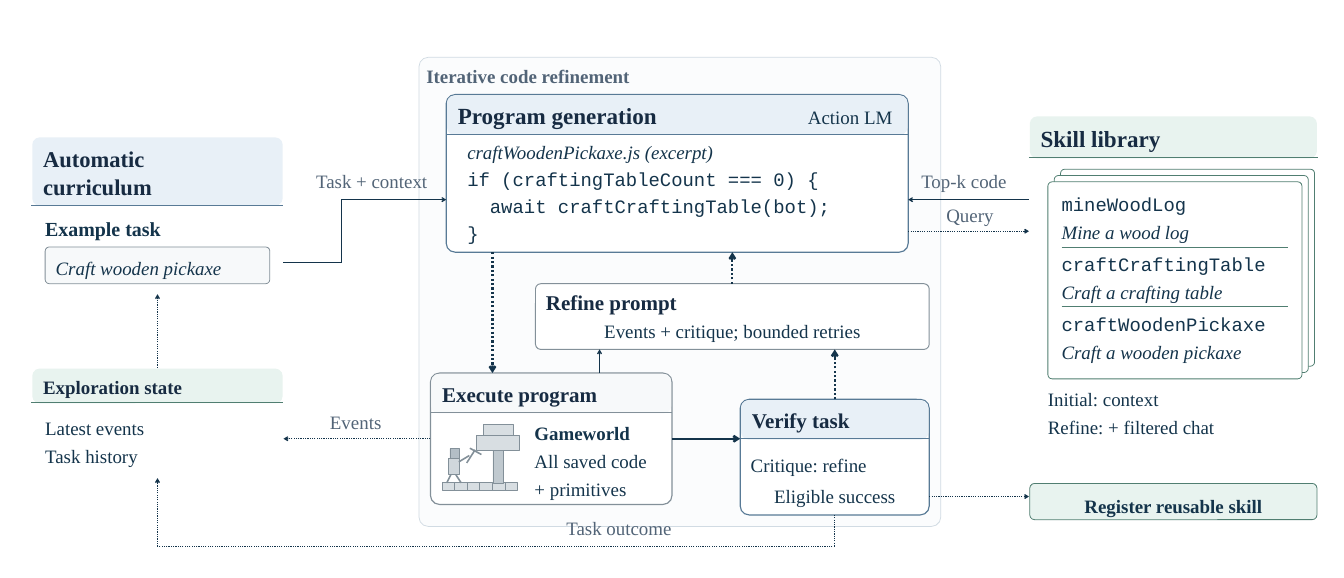
from collections import namedtuple
from itertools import pairwise
from lxml.etree import SubElement
from pptx import Presentation
from pptx.dml.color import RGBColor
from pptx.enum.dml import MSO_LINE
from pptx.enum.shapes import MSO_CONNECTOR, MSO_SHAPE
from pptx.enum.text import MSO_ANCHOR, PP_ALIGN
from pptx.oxml.ns import qn
from pptx.util import Inches, Pt

COLUMNS, ROWS = 256, 110
UNIT = Inches(26.67) / COLUMNS
SERIF, MONO = "Times New Roman", "Courier New"
TOP, LEFT, BOTTOM, RIGHT = range(4)
COLORS = {
    "white": "FFFFFF", "panel": "FBFCFD", "panel_edge": "D1DBE3", "ink": "14344B",
    "heading": "172B42", "muted": "526477", "blue": "587A96", "blue_tint": "E8F0F7",
    "gray": "839099", "gray_tint": "F7F9FA", "green": "507E71", "green_tint": "E8F3EF",
    "block": "D8DEE2", "trunk": "C0C9CF", "head": "B3BEC6", "body": "D0D7DC",
}


class Box(namedtuple("Box", "left top width height")):
    """A rectangle in grid columns and rows."""

    def inner(self, left, top, width, height):
        """Return a box offset from this one's corner."""
        return Box(self.left + left, self.top + top, width, height)


def grid(*values):
    """Convert grid units to slide lengths."""
    return [round(value * UNIT) for value in values]


def color(name):
    """Look up a colour by name."""
    return RGBColor.from_string(COLORS[name])


def add_block(slide, box, fill, line=None, weight=1.13, radius=0):
    """Add a filled rectangle, rounded when a radius is given."""
    kind = MSO_SHAPE.ROUNDED_RECTANGLE if radius else MSO_SHAPE.RECTANGLE
    shape = slide.shapes.add_shape(kind, *grid(*box))
    if radius:
        shape.adjustments[0] = radius / min(box.width, box.height)
    shape.shadow.inherit = False
    shape.fill.solid()
    shape.fill.fore_color.rgb = color(fill)
    if line:
        shape.line.color.rgb = color(line)
        shape.line.width = Pt(weight)
    else:
        shape.line.fill.background()
    return shape


def add_route(slide, points, line="ink", weight=1.65, arrow=False, dotted=False, begin=None, end=None):
    """Draw straight connectors through the points, joined to shapes at either end."""
    connectors = []
    for start, stop in pairwise(points):
        connector = slide.shapes.add_connector(MSO_CONNECTOR.STRAIGHT, *grid(*start, *stop))
        connector.line.color.rgb = color(line)
        connector.line.width = Pt(weight)
        if dotted:
            connector.line.dash_style = MSO_LINE.ROUND_DOT
        SubElement(connector._element.spPr, qn("a:effectLst"))
        connectors.append(connector)
    if arrow:
        SubElement(connectors[-1].line._get_or_add_ln(), qn("a:tailEnd"), type="arrow")
    if begin:
        connectors[0].begin_connect(*begin)
    if end:
        connectors[-1].end_connect(*end)


def add_text(slide, box, *lines, size=27, ink="ink", bold=False, italic=False,
             align=PP_ALIGN.LEFT, gap=7.8):
    """Add lines of text; a line may be a (text, style) pair."""
    frame = slide.shapes.add_textbox(*grid(*box)).text_frame
    frame.word_wrap = True
    frame.vertical_anchor = MSO_ANCHOR.MIDDLE
    frame.margin_left = frame.margin_right = frame.margin_top = frame.margin_bottom = 0
    for index, line in enumerate(lines):
        content, style = (line, {}) if isinstance(line, str) else line
        paragraph = frame.add_paragraph() if index else frame.paragraphs[0]
        paragraph.text = content
        paragraph.alignment = align
        if index:
            paragraph.space_before = Pt(gap)
        font = paragraph.font
        font.name = style.get("name", SERIF)
        font.size = Pt(size)
        font.bold = style.get("bold", bold)
        font.italic = style.get("italic", italic)
        font.color.rgb = color(ink)


def add_card(slide, box, titles, header, tint, rule, edge=None, size=30):
    """Add a card with a tinted header, a rule and a heading."""
    card = add_block(slide, box, "white", edge, 1.65, 1.7)
    add_block(slide, box.inner(0.15, 0.15, box.width - 0.3, header), tint, radius=1.4)
    y = box.top + header
    add_route(slide, [(box.left, y), (box.left + box.width, y)], rule, 1.05)
    add_text(slide, box.inner(2.2, 0, box.width - 4.4, header + 0.5), *titles,
             size=size, ink="heading", bold=True, gap=1.2)
    return card


def add_panel(slide, box):
    """Add the refinement loop's background panel."""
    add_block(slide, box, "panel", "panel_edge", 1.05, 1.8)
    add_text(slide, box.inner(1.4, 1.2, 96, 4.7), "Iterative code refinement", ink="muted", bold=True)


def add_curriculum(slide, box):
    """Add the automatic curriculum with its example task."""
    card = add_card(slide, box, ["Automatic", "curriculum"], 13, "blue_tint", "blue", size=32.2)
    add_text(slide, box.inner(2.6, 15, 42.8, 5), "Example task", size=28.5, bold=True)
    add_block(slide, box.inner(2.6, 21, 42.8, 7), "gray_tint", "gray", radius=0.8)
    add_text(slide, box.inner(4.6, 22.5, 39, 4.9), "Craft wooden pickaxe", italic=True)
    return card


def add_exploration(slide, box):
    """Add the exploration state."""
    card = add_card(slide, box, ["Exploration state"], 6.6, "green_tint", "green", size=27)
    add_text(slide, box.inner(2.6, 9, 42.8, 10.1), "Latest events", "Task history")
    return card


def add_program(slide, box):
    """Add the program generation card with its code."""
    card = add_card(slide, box, ["Program generation"], 7.5, "blue_tint", "blue", "blue", 33)
    add_text(slide, box.inner(68, 1.8, 17, 4.9), "Action LM", align=PP_ALIGN.RIGHT)
    code = ["if (craftingTableCount === 0) {", "  await craftCraftingTable(bot);", "}"]
    add_text(slide, box.inner(4, 8.7, 80, 19.9), ("craftWoodenPickaxe.js (excerpt)", {"italic": True}),
             *[(line, {"name": MONO}) for line in code], gap=6.4)
    return card


def add_scene(slide, box):
    """Draw a block figure working at a block tree."""
    for index in range(6):
        add_block(slide, box.inner(2.4 * index, 11.2, 2.4, 1.4), "block", "gray")
    blocks = [("trunk", 9.7, 4.9, 2, 6.4), ("block", 7.8, 0, 5.8, 2.2), ("block", 6.6, 2.2, 8.2, 2.8),
              ("head", 1.5, 4.7, 1.8, 1.8), ("body", 1.15, 6.6, 2.2, 2.9)]
    for fill, *place in blocks:
        add_block(slide, box.inner(*place), fill, "gray")
    limbs = [(1.7, 9.6, 0.9, 11.2), (2.6, 9.6, 3.65, 11.2), (3.2, 7.2, 5.2, 6),
             (4.7, 7.4, 6.3, 4.9), (5.3, 4.6, 7.5, 5.8)]
    for x1, y1, x2, y2 in limbs:
        points = [(box.left + x1, box.top + y1), (box.left + x2, box.top + y2)]
        add_route(slide, points, "gray", 2.25)


def add_execute(slide, box):
    """Add the program execution card."""
    card = add_card(slide, box, ["Execute program"], 7.5, "gray_tint", "gray", "gray")
    add_scene(slide, box.inner(2.2, 9.7, 14.8, 12.6))
    add_text(slide, box.inner(19.8, 9, 25, 15.4), ("Gameworld", {"bold": True}),
             "All saved code", "+ primitives")
    return card


def add_verify(slide, box):
    """Add the task verification card."""
    card = add_card(slide, box, ["Verify task"], 7.5, "blue_tint", "blue", "blue")
    add_text(slide, box.inner(2, 10, 32, 4.9), "Critique: refine")
    add_text(slide, box.inner(2, 16, 32, 4.9), "Eligible success", align=PP_ALIGN.CENTER)
    return card


def add_refine(slide, box):
    """Add the refine prompt card."""
    card = add_block(slide, box, "white", "gray", 1.35, 1)
    add_text(slide, box.inner(2, 1.2, 71, 4.7), "Refine prompt", size=30, ink="heading", bold=True)
    add_text(slide, box.inner(2, 6.5, 71, 4.9), "Events + critique; bounded retries", align=PP_ALIGN.CENTER)
    return card


def add_library(slide, box):
    """Add the skill library with its stacked sheet of skills."""
    add_card(slide, box, ["Skill library"], 8, "green_tint", "green", size=33)
    for step in (2, 1, 0):
        sheet = box.inner(3.6 + 1.2 * step, 12.6 - 1.2 * step, 48.4, 37.5)
        add_block(slide, sheet, "white", "green", radius=0.8)
    skills = [("mineWoodLog", "Mine a wood log"), ("craftCraftingTable", "Craft a crafting table"),
              ("craftWoodenPickaxe", "Craft a wooden pickaxe")]
    for index, (name, summary) in enumerate(skills):
        entry = box.inner(6.2, 14.5 + 11.4 * index, 43.2, 10.1)
        add_text(slide, entry, (name, {"name": MONO}), (summary, {"italic": True}))
        if index:
            y = entry.top - 0.9
            add_route(slide, [(entry.left, y), (entry.left + entry.width, y)], "green", 1.13)
    add_text(slide, box.inner(3.6, 51.5, 48, 10.1), "Initial: context", "Refine: + filtered chat")
    register = box.inner(0.15, 70, 54.7, 6.9)
    add_block(slide, register, "green_tint", "green", radius=0.9)
    add_text(slide, register.inner(2, 1.8, 50.7, 4.9), "Register reusable skill", bold=True, align=PP_ALIGN.CENTER)


def add_flows(slide, curriculum, exploration, execute, verify, refine):
    """Connect the cards and label the flows."""
    solid, dotted = {"arrow": True}, {"arrow": True, "dotted": True}
    add_route(slide, [(54, 50), (65, 50), (65, 38), (85, 38)], **solid)
    add_route(slide, [(93.8, 48), (93.8, 71)], weight=3.15, **dotted)
    add_route(slide, [(128, 83.5), (141, 83.5)], weight=3.15, begin=(execute, RIGHT), **solid)
    add_route(slide, [(177, 94.5), (196, 94.5)], **dotted)
    add_route(slide, [(196, 38), (173, 38)], **solid)
    add_route(slide, [(173, 44), (196, 44)], **dotted)
    add_route(slide, [(82, 83.5), (54, 83.5)], begin=(execute, LEFT), **dotted)
    add_route(slide, [(159, 98), (159, 104), (30, 104), (30, 91)],
              begin=(verify, BOTTOM), end=(exploration, BOTTOM), **dotted)
    add_route(slide, [(30, 70), (30, 56)], begin=(exploration, TOP), end=(curriculum, BOTTOM), **dotted)
    add_route(slide, [(114.2, 71), (114.2, 66.5)], **solid)
    add_route(slide, [(159, 76), (159, 66.5)], weight=3.15, begin=(verify, TOP), **dotted)
    add_route(slide, [(139.5, 54), (139.5, 48)], weight=3.15, begin=(refine, TOP), **dotted)
    labels = [("Task + context", 58.5, 32, 24.6), ("Top-k code", 174, 32, 19.2), ("Query", 179, 38.5, 11.5),
              ("Events", 61.5, 78, 12.5), ("Task outcome", 106, 98.1, 23.8)]
    for label, left, top, width in labels:
        add_text(slide, Box(left, top, width, 4.7), label, ink="muted", align=PP_ALIGN.CENTER)


def main():
    """Build the agent loop slide."""
    presentation = Presentation()
    presentation.slide_width, presentation.slide_height = grid(COLUMNS, ROWS)
    slide = presentation.slides.add_slide(presentation.slide_layouts[6])
    add_panel(slide, Box(79.8, 10.9, 99.4, 89.3))
    curriculum = add_curriculum(slide, Box(6, 26, 48, 30))
    exploration = add_exploration(slide, Box(6, 70, 48, 21))
    add_program(slide, Box(85, 18, 88, 30))
    execute = add_execute(slide, Box(82, 71, 46, 25))
    verify = add_verify(slide, Box(141, 76, 36, 22))
    refine = add_refine(slide, Box(102, 54, 75, 12.5))
    add_library(slide, Box(196, 22, 55, 81))
    add_flows(slide, curriculum, exploration, execute, verify, refine)
    presentation.save("out.pptx")


if __name__ == "__main__":
    main()
